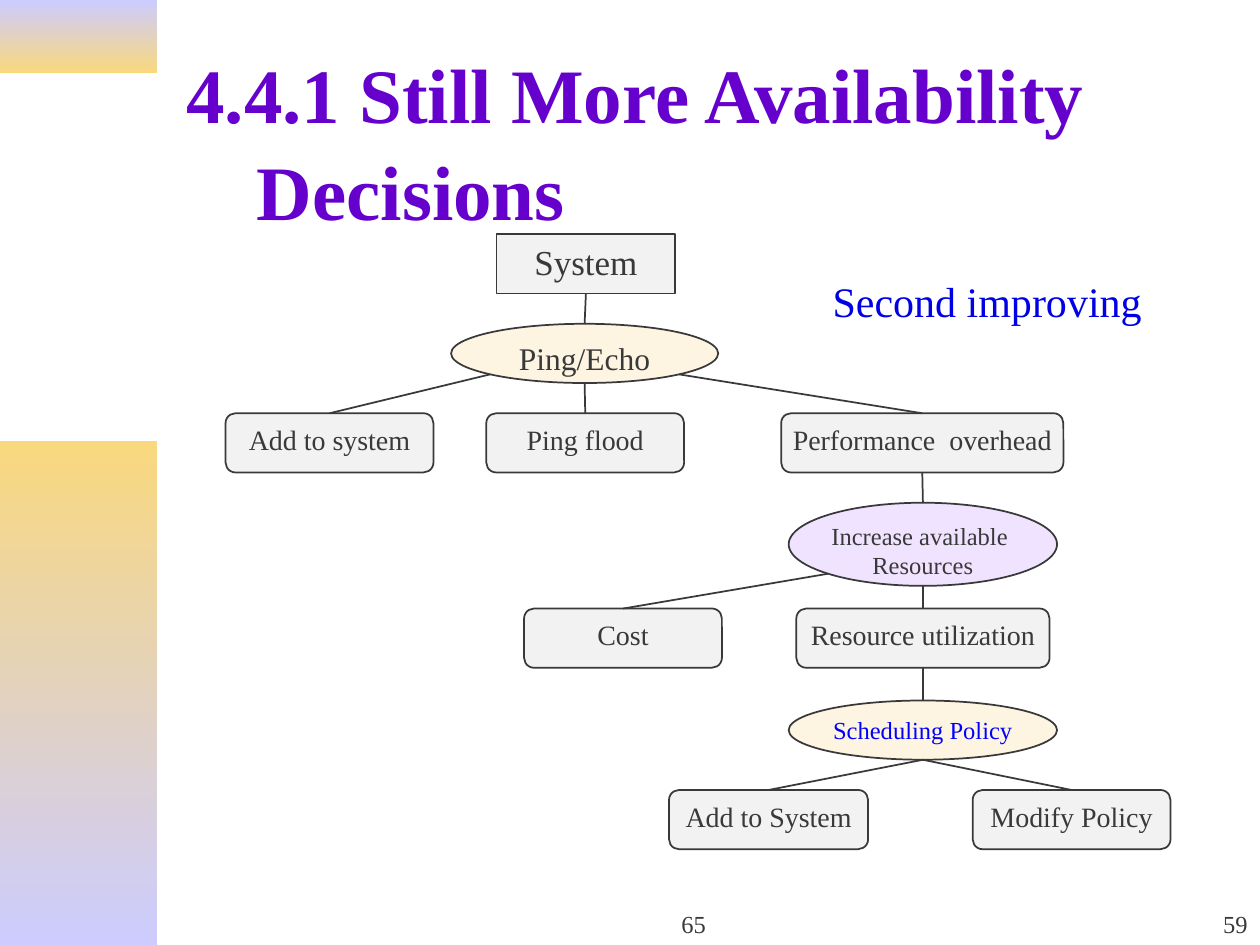
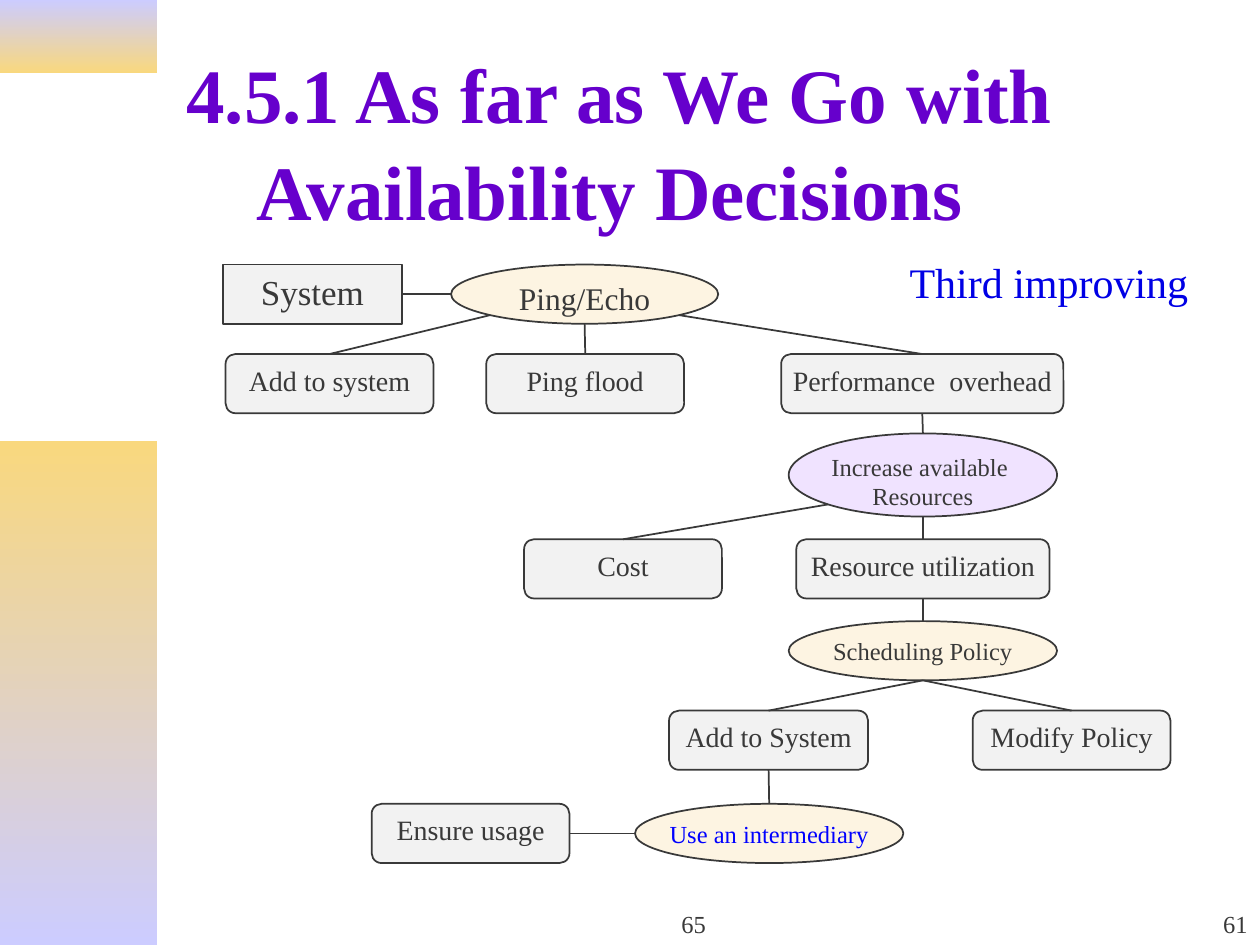
from collections import namedtuple

from lxml.etree import SubElement
from pptx import Presentation
from pptx.dml.color import RGBColor
from pptx.enum.shapes import MSO_CONNECTOR, MSO_SHAPE
from pptx.enum.text import MSO_ANCHOR, PP_ALIGN
from pptx.oxml.ns import qn
from pptx.util import Inches, Pt


class Theme:
    font = "Times New Roman"
    ink, title, remark, highlight = "393939", "6600CC", "0000E5", "0000FF"
    lavender, gold = "CCCCFF", "F9D87E"
    issue_fill, tactic_fill, resource_fill = "F2F2F2", "FBE9C0", "E0C2FF"
    tactic_alpha = 46
    title_size, remark_size, footer_size = 44, 24, 14
    system_size, ping_size, issue_size, tactic_size = 20, 18, 16, 14
    line_width = 1


Box = namedtuple("Box", "left top width height")
Style = namedtuple("Style", "outline fill alpha size")
Node = namedtuple("Node", "text style left width")

ROW_HEIGHT, RESOURCE_HEIGHT = 0.47, 0.66
SYSTEM = Style(MSO_SHAPE.RECTANGLE, Theme.issue_fill, None, Theme.system_size)
ISSUE = Style(MSO_SHAPE.ROUNDED_RECTANGLE, Theme.issue_fill, None, Theme.issue_size)
PING = Style(MSO_SHAPE.OVAL, Theme.tactic_fill, Theme.tactic_alpha, Theme.ping_size)
TACTIC = PING._replace(size=Theme.tactic_size)
RESOURCE = TACTIC._replace(fill=Theme.resource_fill)

# Parts of the tree, with left edges measured from the tree box
NODES = {
    "ping": Node("Ping/Echo", PING, 1.83, 2.12),
    "add": Node("Add to system", ISSUE, 0.04, 1.65),
    "flood": Node("Ping flood", ISSUE, 2.11, 1.57),
    "overhead": Node("Performance  overhead", ISSUE, 4.45, 2.24),
    "resources": Node("Increase available \nResources", RESOURCE, 4.51, 2.13),
    "cost": Node("Cost", ISSUE, 2.41, 1.57),
    "utilization": Node("Resource utilization", ISSUE, 4.57, 2.01),
    "scheduling": Node("Scheduling Policy", TACTIC, 4.51, 2.13),
    "add policy": Node("Add to System", ISSUE, 3.56, 1.58),
    "modify": Node("Modify Policy", ISSUE, 5.97, 1.57),
}
ROWS = [["system"], ["ping"], ["add", "flood", "overhead"], ["resources"],
        ["cost", "utilization"], ["scheduling"], ["add policy", "modify"],
        ["intermediary", "usage"]]

# Where a link may touch a part, as fractions of its width and height
SITES = {"top": (0.5, 0), "bottom": (0.5, 1), "left": (0, 0.5), "right": (1, 0.5),
         "lower left": (0.146, 0.854), "lower right": (0.854, 0.854)}
LINKS = [
    ("ping", "lower left", "add", "top"),
    ("ping", "bottom", "flood", "top"),
    ("ping", "lower right", "overhead", "top"),
    ("overhead", "bottom", "resources", "top"),
    ("resources", "bottom", "utilization", "top"),
    ("resources", "lower left", "cost", "top"),
    ("utilization", "bottom", "scheduling", "top"),
    ("scheduling", "bottom", "add policy", "top"),
    ("scheduling", "bottom", "modify", "top"),
]


def rgb(code):
    return RGBColor.from_string(code)


def inches(box):
    return [Inches(length) for length in box]


def write(frame, text, size, color, align=PP_ALIGN.LEFT, anchor=MSO_ANCHOR.TOP,
          wrap=True, bold=False):
    frame.text = text
    frame.word_wrap = wrap
    frame.vertical_anchor = anchor
    for paragraph in frame.paragraphs:
        paragraph.alignment = align
        for run in paragraph.runs:
            run.font.name = Theme.font
            run.font.size = Pt(size)
            run.font.bold = bold
            run.font.color.rgb = rgb(color)


def add_text(slide, box, *args, **options):
    frame = slide.shapes.add_textbox(*inches(box)).text_frame
    write(frame, *args, **options)
    return frame


def add_band(slide, box, upper, lower):
    band = slide.shapes.add_shape(MSO_SHAPE.RECTANGLE, *inches(box))
    band.shadow.inherit = False
    band.line.fill.background()
    band.fill.gradient()
    band.fill.gradient_angle = 270
    for stop, color in zip(band.fill.gradient_stops, (upper, lower)):
        stop.color.rgb = rgb(color)


def add_heading(slide, box, text):
    frame = add_text(slide, box, text, Theme.title_size, Theme.title, bold=True)
    frame.margin_top = frame.margin_bottom = 0
    heading = frame.paragraphs[0]
    heading.line_spacing = 1.05
    indent = heading._p.get_or_add_pPr()
    indent.set("marL", str(Inches(0.56)))
    indent.set("indent", str(Inches(-0.56)))


def add_footer(slide, box, total, number):
    style = dict(size=Theme.footer_size, color=Theme.ink, anchor=MSO_ANCHOR.BOTTOM)
    add_text(slide, box._replace(width=3.17), total, align=PP_ALIGN.CENTER, **style)
    add_text(slide, Box(box.left + 4, box.top, box.width - 4, box.height), number,
             align=PP_ALIGN.RIGHT, **style)


def add_frame(slide, title, number):
    add_band(slide, Box(0, 0, 1.25, 0.58), Theme.lavender, Theme.gold)
    add_band(slide, Box(0, 3.5, 1.25, 4), Theme.gold, Theme.lavender)
    add_heading(slide, Box(1.38, 0.33, 8.59, 1.32), title)
    add_footer(slide, Box(3.92, 7, 6.08, 0.5), "65", number)


def add_node(slide, box, node, color):
    style = node.style
    part = slide.shapes.add_shape(style.outline, *inches(box))
    part.shadow.inherit = False
    part.fill.solid()
    part.fill.fore_color.rgb = rgb(style.fill)
    if style.alpha:
        fill_color = part._element.spPr.find(qn("a:solidFill"))[0]
        SubElement(fill_color, qn("a:alpha")).set("val", str(style.alpha * 1000))
    part.line.color.rgb = rgb(Theme.ink)
    part.line.width = Pt(Theme.line_width)
    write(part.text_frame, node.text, style.size, color, PP_ALIGN.CENTER, wrap=False)


def add_link(slide, start_box, start_site, end_box, end_site):
    ends = []
    for box, site in ((start_box, start_site), (end_box, end_site)):
        across, down = SITES[site]
        ends += [Inches(box.left + across * box.width),
                 Inches(box.top + down * box.height)]
    link = slide.shapes.add_connector(MSO_CONNECTOR.STRAIGHT, *ends)
    link.line.color.rgb = rgb(Theme.ink)
    link.line.width = Pt(Theme.line_width)
    SubElement(link._element.spPr, qn("a:effectLst"))


def add_tree(slide, left, top, row_tops, nodes, links, newest):
    boxes = {}
    for row, row_top in zip(ROWS, row_tops):
        for key in row:
            node = nodes[key]
            height = RESOURCE_HEIGHT if node.style is RESOURCE else ROW_HEIGHT
            boxes[key] = Box(left + node.left, top + row_top, node.width, height)
            add_node(slide, boxes[key], node,
                     Theme.highlight if key == newest else Theme.ink)
    for start, start_site, end, end_site in links:
        add_link(slide, boxes[start], start_site, boxes[end], end_site)


def add_decision_slide(deck, title, number, remark, remark_box, **tree):
    slide = deck.slides.add_slide(deck.slide_layouts[6])
    add_frame(slide, title, number)
    add_tree(slide, left=1.75, **tree)
    add_text(slide, remark_box, remark, Theme.remark_size, Theme.remark, wrap=False)


def main():
    deck = Presentation()
    deck.slide_width, deck.slide_height = Inches(10), Inches(7.5)

    # Second improvement: scheduling policy
    add_decision_slide(
        deck, "4.4.1 Still More Availability Decisions", "59",
        "Second improving", Box(6.51, 2.14, 2.65, 0.5),
        top=1.86, row_tops=[0, 0.71, 1.42, 2.13, 2.97, 3.7, 4.41],
        nodes=NODES | {"system": Node("System", SYSTEM, 2.19, 1.42)},
        links=LINKS + [("system", "bottom", "ping", "top")],
        newest="scheduling")

    # Third improvement: an intermediary
    add_decision_slide(
        deck, "4.5.1 As far as We Go with Availability Decisions", "61",
        "Third improving", Box(7.12, 1.99, 2.41, 0.5),
        top=2.1, row_tops=[0, 0, 0.71, 1.34, 2.18, 2.83, 3.54, 4.28],
        nodes=NODES | {
            "system": Node("System", SYSTEM, 0.02, 1.42),
            "intermediary": Node("Use an intermediary", TACTIC, 3.29, 2.13),
            "usage": Node("Ensure usage", ISSUE, 1.2, 1.57),
        },
        links=LINKS + [("system", "right", "ping", "left"),
                       ("add policy", "bottom", "intermediary", "top"),
                       ("intermediary", "left", "usage", "right")],
        newest="intermediary")

    deck.save("out.pptx")


if __name__ == "__main__":
    main()
